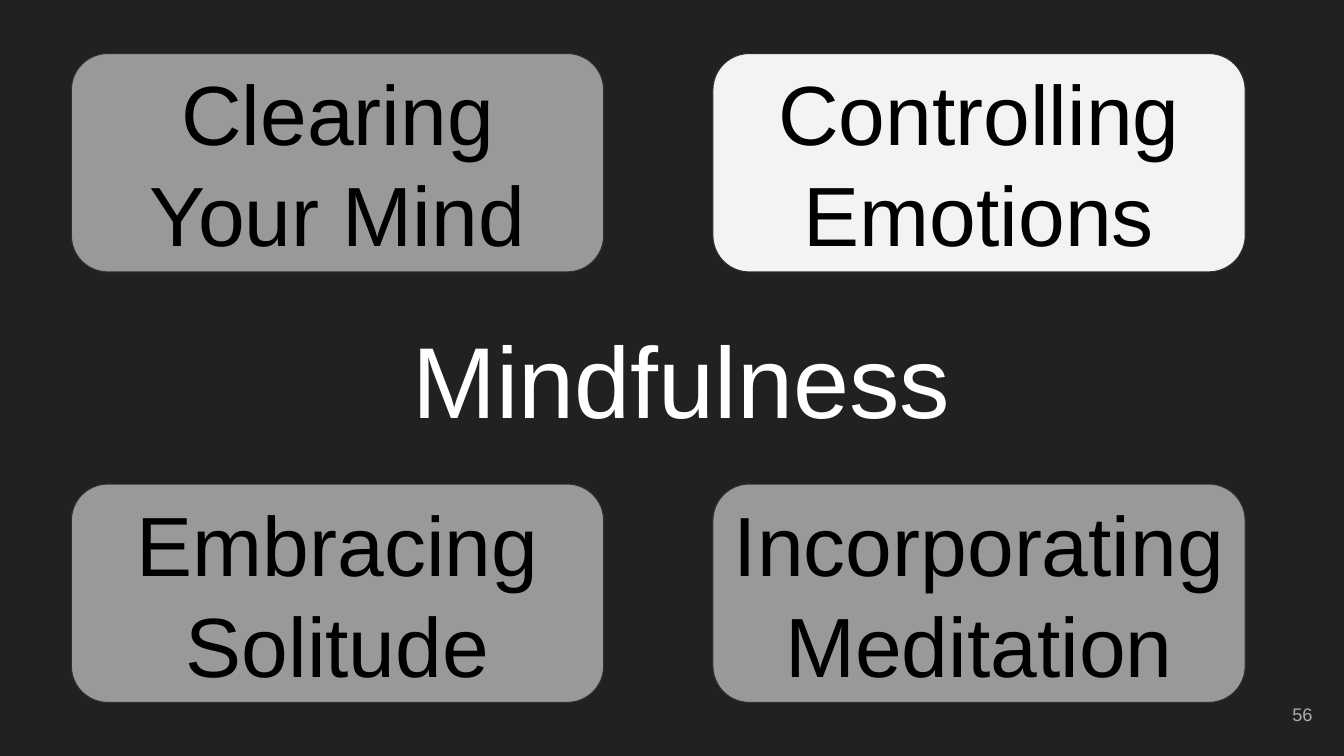
from pptx import Presentation
from pptx.dml.color import RGBColor
from pptx.enum.shapes import MSO_SHAPE
from pptx.enum.text import MSO_ANCHOR, PP_ALIGN
from pptx.util import Pt

PX = 9525  # EMU in one px, 96 px to the inch
COLOURS = {
    "background": "212121",
    "title": "FFFFFF",
    "number": "ADADAD",
    "card": "999999",
    "highlight": "F3F3F3",
    "outline": "303030",
    "card text": "000000",
}
CARDS = [
    [("Clearing Your Mind", "card"), ("Controlling Emotions", "highlight")],
    [("Embracing Solitude", "card"), ("Incorporating Meditation", "card")],
]


def colour(name):
    return RGBColor.from_string(COLOURS[name])


def place(shape, box):
    shape.left, shape.top, shape.width, shape.height = [length * PX for length in box]


def write(shape, text, size, colour_name, align, inset):
    frame = shape.text_frame
    frame.word_wrap = True
    frame.vertical_anchor = MSO_ANCHOR.MIDDLE
    frame.margin_left = frame.margin_right = inset * PX
    frame.margin_top = frame.margin_bottom = inset * PX
    paragraph = frame.paragraphs[0]
    paragraph.text = text
    paragraph.alignment = align
    paragraph.font.name = "Arial"
    paragraph.font.size = Pt(size)
    paragraph.font.color.rgb = colour(colour_name)


def add_title(page, box):
    title = page.shapes.title
    place(title, box)
    write(title, "Mindfulness", 72, "title", PP_ALIGN.CENTER, 12)


def add_card(page, box, text, fill):
    card = page.shapes.add_shape(
        MSO_SHAPE.ROUNDED_RECTANGLE, *[length * PX for length in box])
    card.shadow.inherit = False
    card.fill.solid()
    card.fill.fore_color.rgb = colour(fill)
    card.line.color.rgb = colour("outline")
    card.line.width = Pt(0.75)
    # The inset leaves room for the longest word on one line
    write(card, text, 60, "card text", PP_ALIGN.CENTER, 7)


def add_card_grid(page, box):
    left, top, width, height = box
    card_width, card_height = 507, 208
    for row, cards in enumerate(CARDS):
        for column, (text, fill) in enumerate(cards):
            x = left + column * (width - card_width)
            y = top + row * (height - card_height)
            add_card(page, (x, y, card_width, card_height), text, fill)


def add_page_number(page, box):
    number = page.shapes.add_textbox(*[length * PX for length in box])
    write(number, "56", 13, "number", PP_ALIGN.RIGHT, 12)


def main():
    deck = Presentation()
    deck.slide_width, deck.slide_height = 1280 * PX, 720 * PX
    page = deck.slides.add_slide(deck.slide_layouts[5])  # title only
    page.background.fill.solid()
    page.background.fill.fore_color.rgb = colour("background")

    # Page number, heading and the four practices around it
    add_page_number(page, (1185, 653, 77, 55))
    add_title(page, (53, 301, 1192, 118))
    add_card_grid(page, (68, 51, 1118, 618))

    deck.save("out.pptx")


if __name__ == "__main__":
    main()
